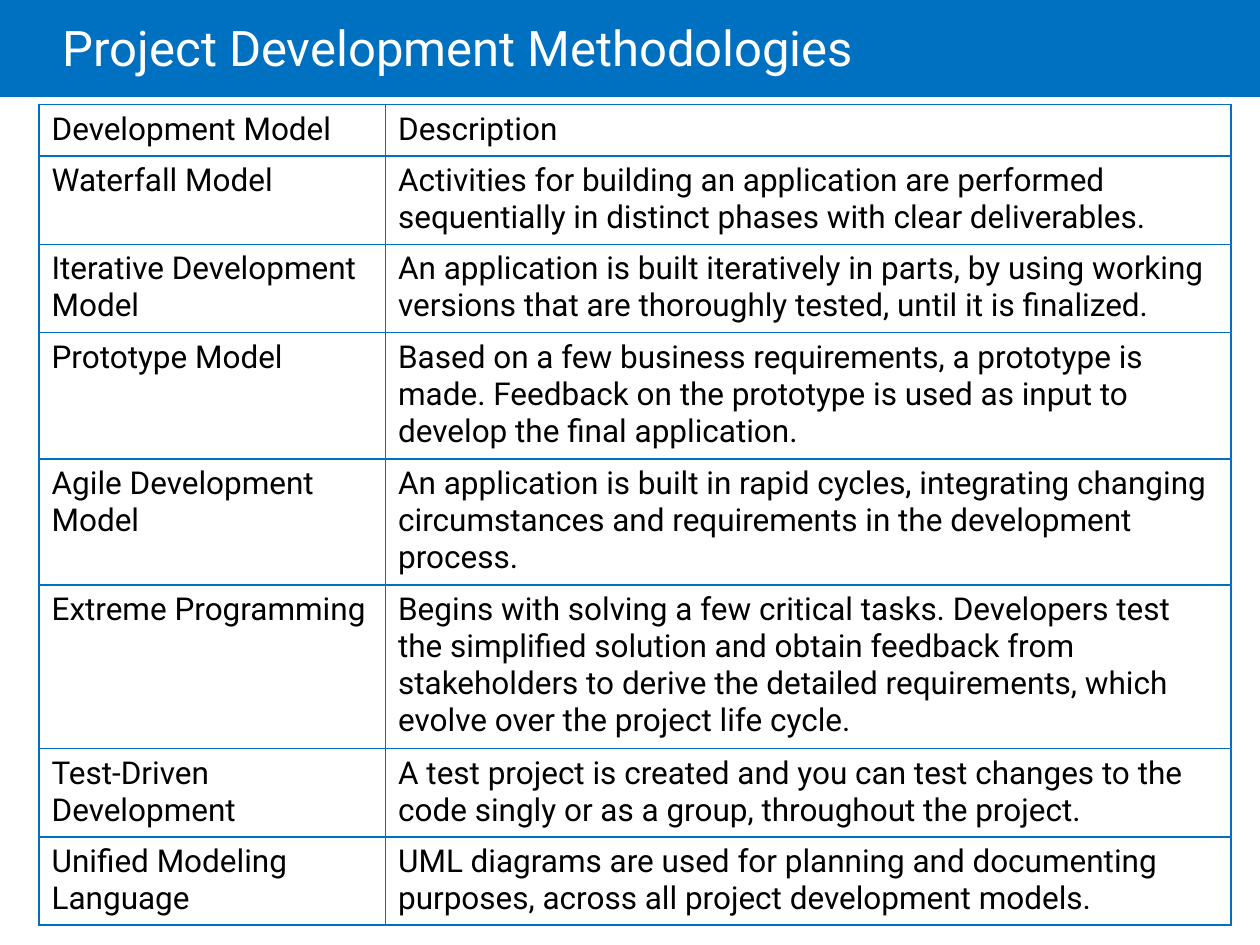
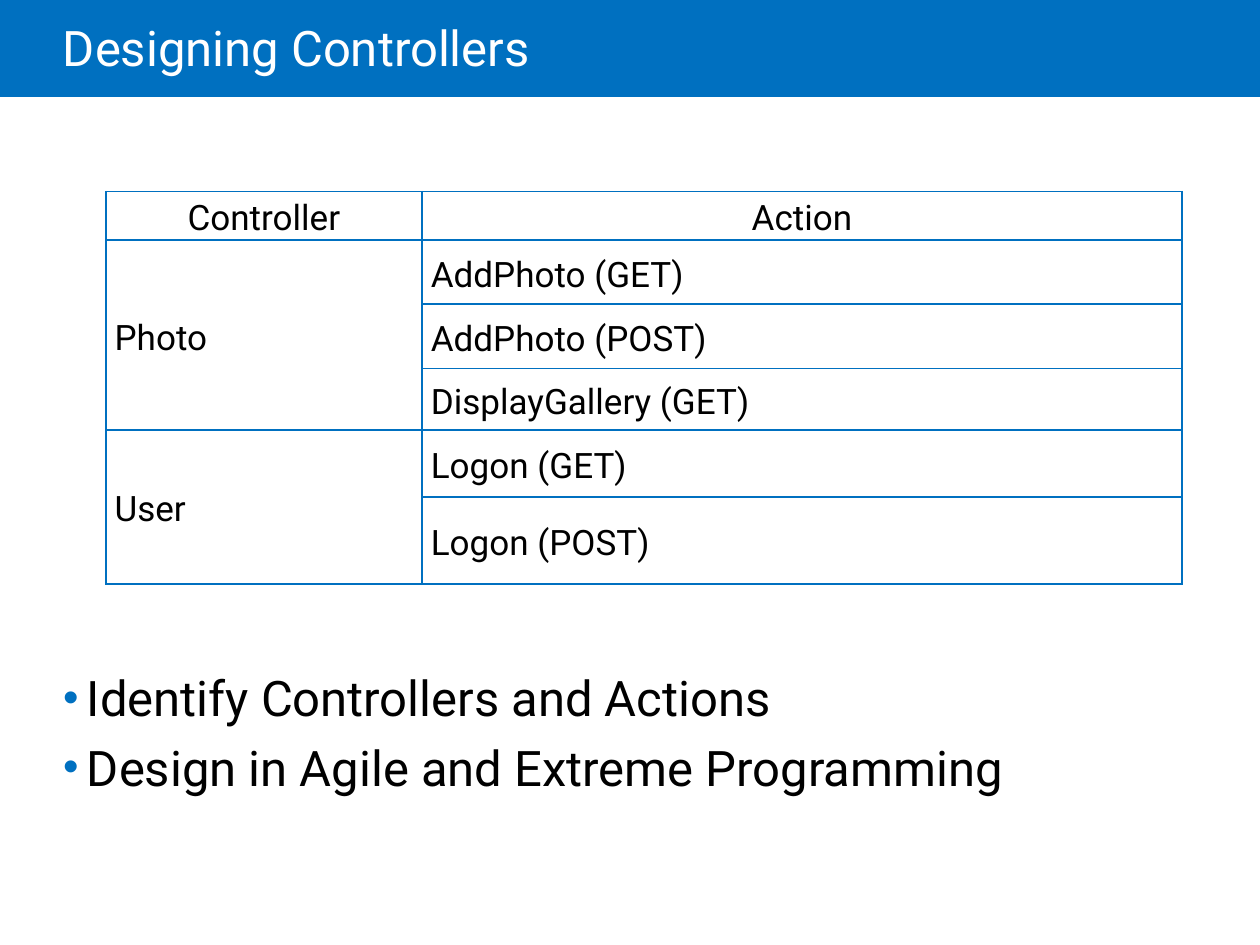
from dataclasses import dataclass

from lxml import etree
from pptx import Presentation
from pptx import util as u
from pptx.dml.color import RGBColor
from pptx.enum import shapes, text
from pptx.oxml import ns


@dataclass(frozen=True)
class Theme:
    font: str = "Roboto"
    blue: str = "0070C0"
    white: str = "FFFFFF"
    black: str = "000000"
    heading: int = 28
    bullet: int = 28
    models: int = 18
    controllers: int = 20
    border: float = 1


@dataclass(frozen=True)
class Box:
    left: float
    top: float
    width: float
    height: float

    def emu(self):
        return [grid(n) for n in (self.left, self.top, self.width, self.height)]


THEME = Theme()
SLIDE_WIDTH = u.Inches(10)
SLIDE_HEIGHT = u.Inches(7.5)
COLUMNS = 100
BAND = Box(0, 0, COLUMNS, 7.7)
HEADING = Box(5, 0, 85, 8.1)

MODELS = [
    ("Development Model", "Description"),
    ("Waterfall Model",
     "Activities for building an application are performed sequentially in distinct phases "
     "with clear deliverables."),
    ("Iterative Development Model",
     "An application is built iteratively in parts, by using working versions that are "
     "thoroughly tested, until it is finalized."),
    ("Prototype Model",
     "Based on a few business requirements, a prototype is made. Feedback on the prototype "
     "is used as input to develop the final application."),
    ("Agile Development Model",
     "An application is built in rapid cycles, integrating changing circumstances and "
     "requirements in the development process."),
    ("Extreme Programming",
     "Begins with solving a few critical tasks. Developers test the simplified solution and "
     "obtain feedback from stakeholders to derive the detailed requirements, which evolve "
     "over the project life cycle."),
    ("Test-Driven Development",
     "A test project is created and you can test changes to the code singly or as a group, "
     "throughout the project."),
    ("Unified Modeling Language",
     "UML diagrams are used for planning and documenting purposes, across all project "
     "development models."),
]
MODEL_LINES = [1, 2, 2, 3, 3, 4, 2, 2]

ACTIONS = {
    "Photo": ["AddPhoto (GET)", "AddPhoto (POST)", "DisplayGallery (GET)"],
    "User": ["Logon (GET)", "Logon (POST)"],
}
GOALS = ["Identify Controllers and Actions", "Design in Agile and Extreme Programming"]


def grid(units):
    return int(SLIDE_WIDTH * units / COLUMNS)


def add_run(paragraph, words, size, color=THEME.black):
    run = paragraph.add_run()
    run.text = words
    run.font.name = THEME.font
    run.font.size = u.Pt(size)
    run.font.color.rgb = RGBColor.from_string(color)


def set_margins(holder, left, top, right, bottom):
    holder.margin_left, holder.margin_top = grid(left), grid(top)
    holder.margin_right, holder.margin_bottom = grid(right), grid(bottom)


def add_header(slide, words):
    band = slide.shapes.add_shape(shapes.MSO_SHAPE.RECTANGLE, *BAND.emu())
    band.shadow.inherit = False
    band.fill.solid()
    band.fill.fore_color.rgb = RGBColor.from_string(THEME.blue)
    band.line.fill.background()
    frame = slide.shapes.add_textbox(*HEADING.emu()).text_frame
    frame.word_wrap = True
    frame.vertical_anchor = text.MSO_ANCHOR.MIDDLE
    set_margins(frame, 0, 0.5, 1, 0.5)
    heading = frame.paragraphs[0]
    heading.line_spacing = 0.85
    add_run(heading, words, THEME.heading, THEME.white)


def add_borders(cell):
    properties = cell._tc.get_or_add_tcPr()
    for place, side in enumerate(("lnL", "lnR", "lnT", "lnB")):
        line = etree.Element(ns.qn(f"a:{side}"), w=str(u.Pt(THEME.border)))
        fill = etree.SubElement(line, ns.qn("a:solidFill"))
        etree.SubElement(fill, ns.qn("a:srgbClr"), val=THEME.blue)
        properties.insert(place, line)


def add_grid_table(slide, box, widths, heights):
    table = slide.shapes.add_table(len(heights), len(widths), *box.emu()).table
    table.first_row = table.horz_banding = False
    for column, width in zip(table.columns, widths):
        column.width = grid(width)
    for row, height in zip(table.rows, heights):
        row.height = grid(height)
    for cell in table.iter_cells():
        cell.fill.background()
        add_borders(cell)
    return table


def add_models_table(slide, box):
    name_width = 27.5
    heights = [4.1 if lines == 1 else 1 + 2.94 * lines for lines in MODEL_LINES]
    table = add_grid_table(slide, box, [name_width, box.width - name_width], heights)
    for row, entries in enumerate(MODELS):
        for column, words in enumerate(entries):
            add_run(table.cell(row, column).text_frame.paragraphs[0], words, THEME.models)


def fill_controller_cell(cell, words, centered=False):
    cell.vertical_anchor = text.MSO_ANCHOR.MIDDLE
    set_margins(cell, 0.7, 0, 0.7, 0)
    paragraph = cell.text_frame.paragraphs[0]
    paragraph.line_spacing = 1.15
    if centered:
        paragraph.alignment = text.PP_ALIGN.CENTER
    add_run(paragraph, words, THEME.controllers)


def add_controllers_table(slide, box):
    controller_width = 25.1
    heights = [3.7, 5.1, 5.1, 4.9, 5.3, 6.9]
    table = add_grid_table(slide, box, [controller_width, box.width - controller_width], heights)
    for column, words in enumerate(("Controller", "Action")):
        fill_controller_cell(table.cell(0, column), words, centered=True)
    first = 1
    for controller, actions in ACTIONS.items():
        last = first + len(actions) - 1
        table.cell(first, 0).merge(table.cell(last, 0))
        fill_controller_cell(table.cell(first, 0), controller)
        for row, action in enumerate(actions, first):
            fill_controller_cell(table.cell(row, 1), action)
        first = last + 1


def add_bullet(paragraph, indent):
    properties = paragraph._p.get_or_add_pPr()
    properties.set("marL", str(grid(indent)))
    properties.set("indent", str(-grid(indent)))
    color = etree.SubElement(properties, ns.qn("a:buClr"))
    etree.SubElement(color, ns.qn("a:srgbClr"), val=THEME.blue)
    etree.SubElement(properties, ns.qn("a:buSzPct"), val="90000")
    etree.SubElement(properties, ns.qn("a:buFont"), typeface="Arial")
    etree.SubElement(properties, ns.qn("a:buChar"), char="•")


def add_goals(slide, box):
    frame = slide.shapes.add_textbox(*box.emu()).text_frame
    frame.word_wrap = True
    set_margins(frame, 0, 0, 0, 0)
    for index, goal in enumerate(GOALS):
        paragraph = frame.add_paragraph() if index else frame.paragraphs[0]
        paragraph.space_before = u.Pt(6)
        add_bullet(paragraph, 1.9)
        add_run(paragraph, goal, THEME.bullet)


def add_slide(deck, heading):
    slide = deck.slides.add_slide(deck.slide_layouts[6])
    add_header(slide, heading)
    return slide


def build_methodologies(deck):
    slide = add_slide(deck, "Project Development Methodologies")
    add_models_table(slide, Box(3.1, 8.3, 94.6, 64))


def build_controllers(deck):
    slide = add_slide(deck, "Designing Controllers")
    add_goals(slide, Box(5, 53, 88.8, 14.4))
    add_controllers_table(slide, Box(8.4, 15.2, 85.4, 31))


def main():
    deck = Presentation()
    deck.slide_width, deck.slide_height = SLIDE_WIDTH, SLIDE_HEIGHT
    build_methodologies(deck)
    build_controllers(deck)
    deck.save("out.pptx")


if __name__ == "__main__":
    main()
